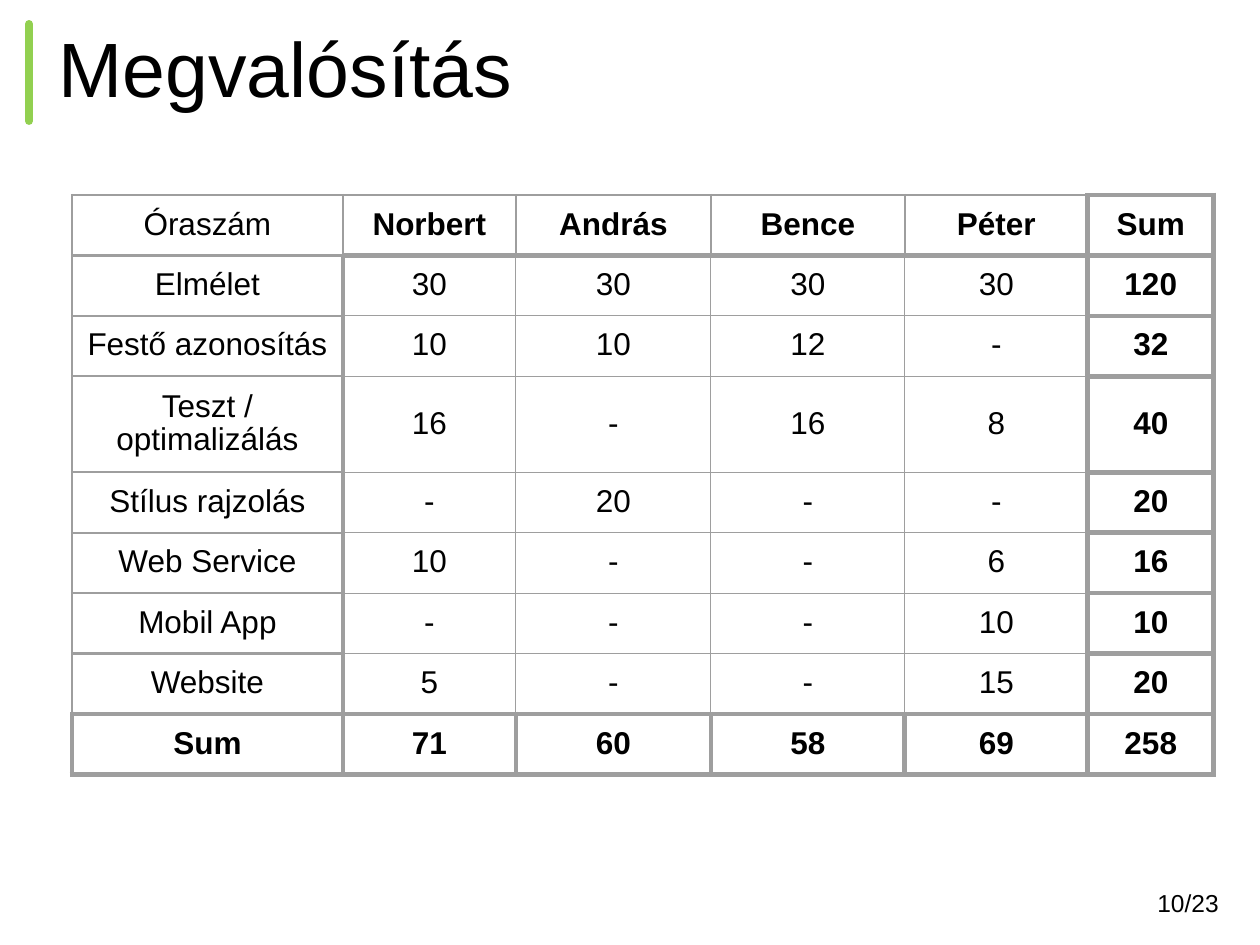
from lxml import etree
from pptx import Presentation
from pptx import util as u
from pptx.dml.color import RGBColor
from pptx.enum import shapes, text
from pptx.oxml.ns import qn

PX = u.Inches(1) // 126
FONT = "Arial"
BLACK = RGBColor(0x00, 0x00, 0x00)
GREEN = RGBColor(0x92, 0xD0, 0x50)
GREY = RGBColor(0x9E, 0x9E, 0x9E)

TITLE = "Megvalósítás"
PAGE = "10/23"
HOURS = [
    ["Óraszám", "Norbert", "András", "Bence", "Péter", "Sum"],
    ["Elmélet", "30", "30", "30", "30", "120"],
    ["Festő azonosítás", "10", "10", "12", "-", "32"],
    ["Teszt / optimalizálás", "16", "-", "16", "8", "40"],
    ["Stílus rajzolás", "-", "20", "-", "-", "20"],
    ["Web Service", "10", "-", "-", "6", "16"],
    ["Mobil App", "-", "-", "-", "10", "10"],
    ["Website", "5", "-", "-", "15", "20"],
    ["Sum", "71", "60", "58", "69", "258"],
]
COLUMN_WIDTHS = [271, 173, 195, 194, 183, 126]
ROW_HEIGHT, TALL_ROW_HEIGHT, TALL_ROW = 60, 96, 3
TABLE_LEFT, TABLE_TOP = 72, 195
LAST_ROW, LAST_COLUMN = len(HOURS) - 1, len(COLUMN_WIDTHS) - 1

# Border widths in points for each zone of the table
ZONE_BORDER = {"corner": 1.5, "header": 1.5, "label": 1.5, "body": 0.75, "sum": 3}
# Table sides as XML tag, row step and column step
SIDES = [("a:lnL", 0, -1), ("a:lnR", 0, 1), ("a:lnT", -1, 0), ("a:lnB", 1, 0)]


def zone(row, column):
    if row == LAST_ROW or column == LAST_COLUMN:
        return "sum"
    if row == 0:
        return "corner" if column == 0 else "header"
    return "label" if column == 0 else "body"


def border_width(row, column, row_step, column_step):
    """Width in points of the edge towards the neighbouring cell."""
    here = zone(row, column)
    next_row, next_column = row + row_step, column + column_step
    if not (0 <= next_row <= LAST_ROW and 0 <= next_column <= LAST_COLUMN):
        return ZONE_BORDER[here]
    pair = {here, zone(next_row, next_column)}
    if "sum" in pair or ("body" in pair and len(pair) == 2):
        return 3
    return ZONE_BORDER[here]


def add_borders(cell, row, column):
    properties = cell._tc.get_or_add_tcPr()
    for index, (tag, row_step, column_step) in enumerate(SIDES):
        width = border_width(row, column, row_step, column_step)
        line = etree.Element(qn(tag), w=str(u.Pt(width)))
        fill = etree.SubElement(line, qn("a:solidFill"))
        etree.SubElement(fill, qn("a:srgbClr"), val=str(GREY))
        properties.insert(index, line)


def format_runs(paragraph, size, bold=False):
    for run in paragraph.runs:
        run.font.name = FONT
        run.font.size = u.Pt(size)
        run.font.bold = bold
        run.font.color.rgb = BLACK


def place(shape, left, top, width, height):
    shape.left, shape.top = left * PX, top * PX
    shape.width, shape.height = width * PX, height * PX


def add_title(slide):
    title = slide.shapes.title
    place(title, 46, 25, 1194, 96)
    frame = title.text_frame
    frame.text = TITLE
    frame.auto_size = text.MSO_AUTO_SIZE.NONE
    frame.vertical_anchor = text.MSO_ANCHOR.MIDDLE
    frame.margin_left = frame.margin_right = u.Inches(0.1)
    frame.margin_top = frame.margin_bottom = u.Inches(0.1)
    paragraph = frame.paragraphs[0]
    paragraph.alignment = text.PP_ALIGN.LEFT
    paragraph.line_spacing = 0.9
    format_runs(paragraph, 44)


def add_accent_line(slide):
    accent = slide.shapes.add_connector(
        shapes.MSO_CONNECTOR.STRAIGHT, 29 * PX, 24 * PX, 29 * PX, 121 * PX)
    accent.line.color.rgb = GREEN
    accent.line.width = u.Pt(4.5)
    accent.line._get_or_add_ln().set("cap", "rnd")
    etree.SubElement(accent._element.spPr, qn("a:effectLst"))


def add_page_number(slide):
    box = slide.shapes.add_textbox(0, 0, 0, 0)
    place(box, 1145, 878, 96, 50)
    frame = box.text_frame
    frame.word_wrap = True
    frame.vertical_anchor = text.MSO_ANCHOR.MIDDLE
    frame.text = PAGE
    format_runs(frame.paragraphs[0], 14)


def add_hours_table(slide):
    heights = [ROW_HEIGHT] * len(HOURS)
    heights[TALL_ROW] = TALL_ROW_HEIGHT
    frame = slide.shapes.add_table(
        len(HOURS), len(COLUMN_WIDTHS), TABLE_LEFT * PX, TABLE_TOP * PX,
        sum(COLUMN_WIDTHS) * PX, sum(heights) * PX)
    table = frame.table
    table.first_row = table.horz_banding = False
    for column, width in zip(table.columns, COLUMN_WIDTHS):
        column.width = width * PX
    for row, height in zip(table.rows, heights):
        row.height = height * PX
    for row, values in enumerate(HOURS):
        for column, value in enumerate(values):
            cell = table.cell(row, column)
            cell.text = value
            cell.fill.background()
            cell.vertical_anchor = text.MSO_ANCHOR.MIDDLE
            cell.margin_left = cell.margin_right = u.Inches(0.1)
            cell.margin_top = cell.margin_bottom = u.Inches(0.1)
            paragraph = cell.text_frame.paragraphs[0]
            paragraph.alignment = text.PP_ALIGN.CENTER
            paragraph.line_spacing = 0.93
            format_runs(paragraph, 18, zone(row, column) in ("header", "sum"))
            add_borders(cell, row, column)


def main():
    presentation = Presentation()
    presentation.slide_width = 1260 * PX
    presentation.slide_height = 945 * PX
    slide = presentation.slides.add_slide(presentation.slide_layouts[5])
    add_accent_line(slide)
    add_title(slide)
    add_page_number(slide)
    add_hours_table(slide)
    presentation.save("out.pptx")


if __name__ == "__main__":
    main()
